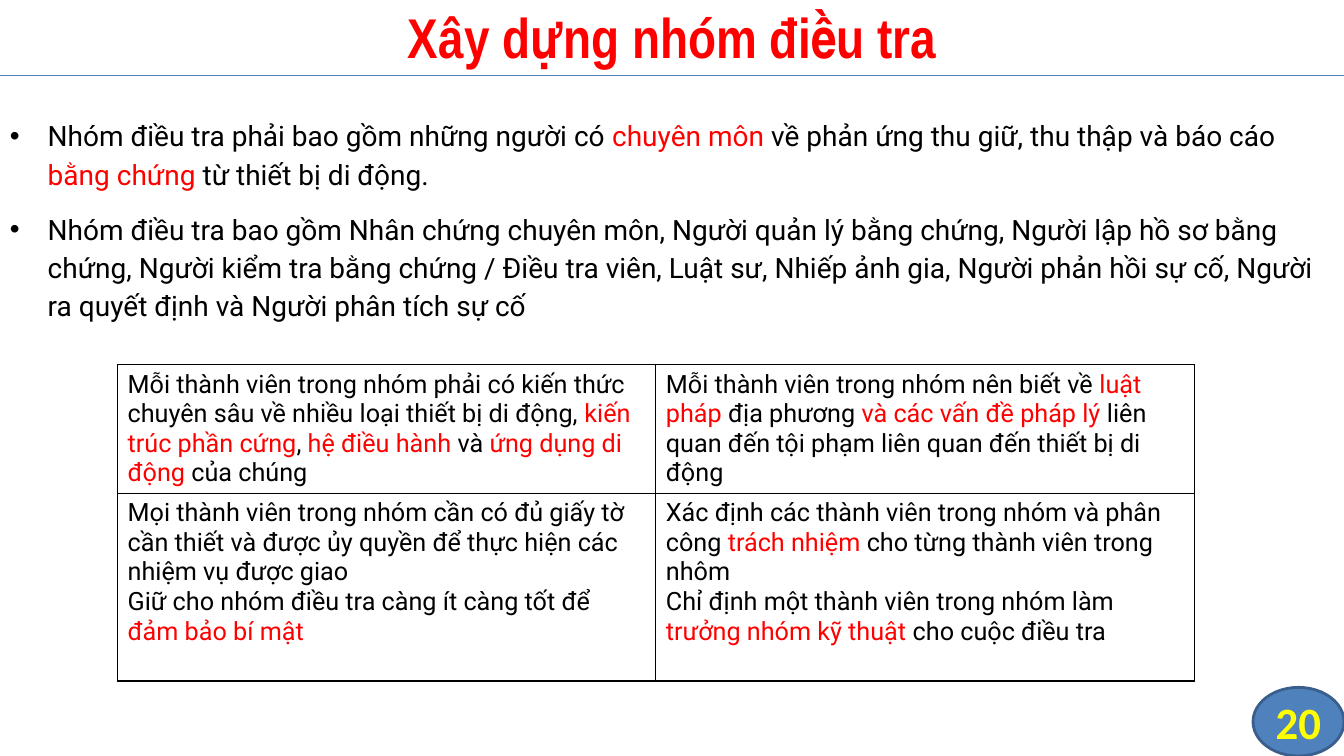
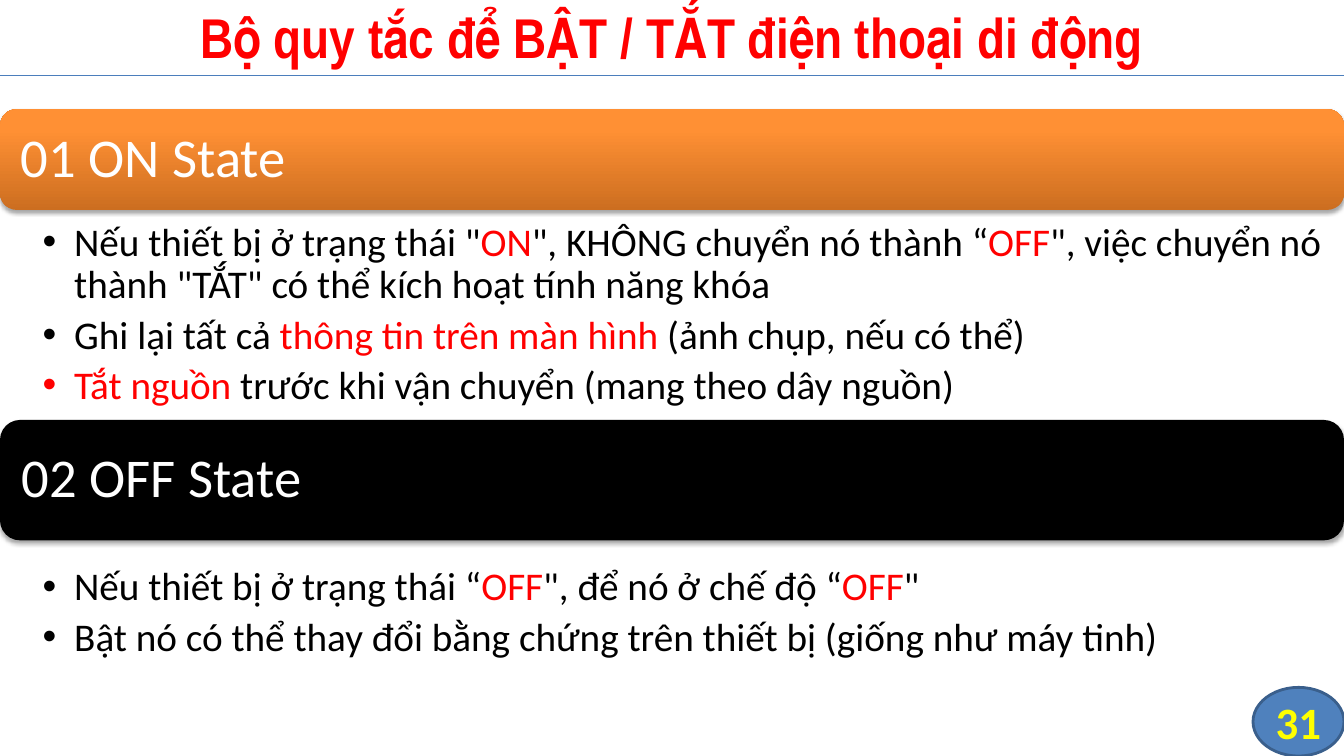
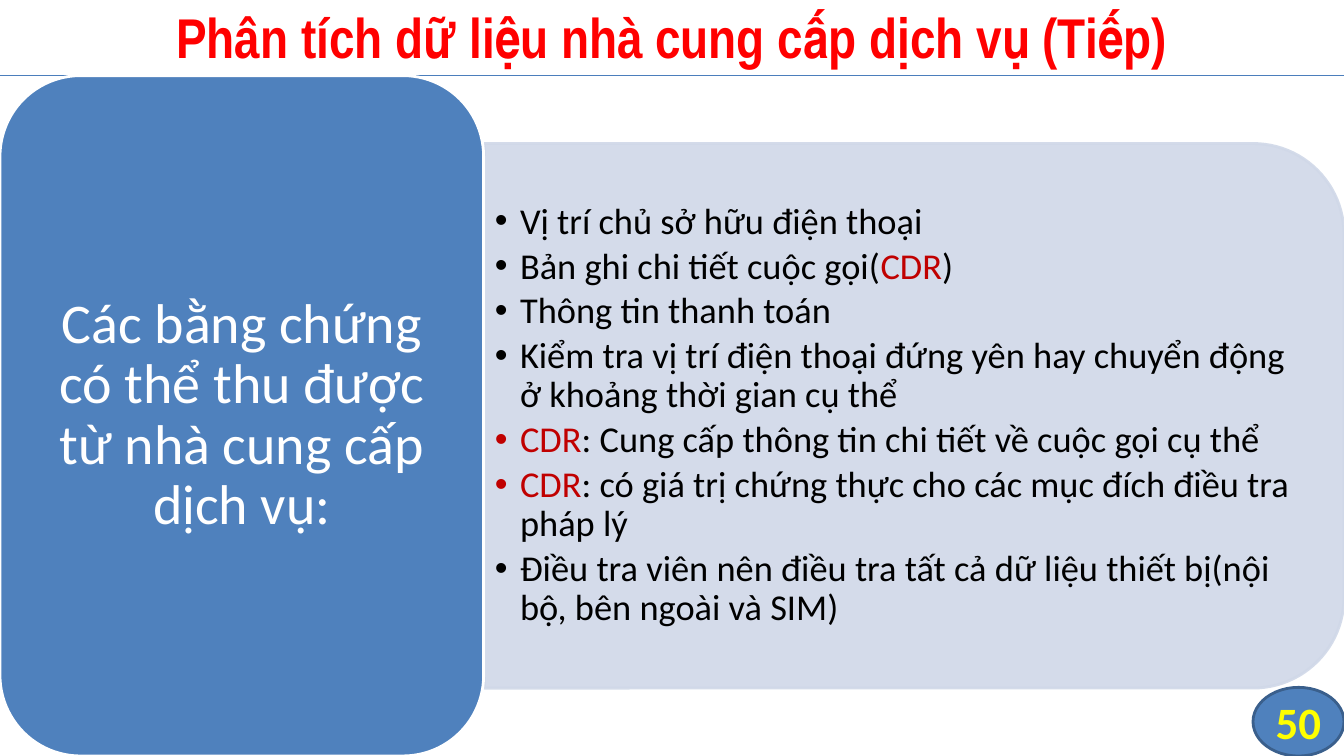
"""Build three slides on mobile device investigation."""
from dataclasses import dataclass

from lxml.etree import SubElement
from pptx import Presentation
from pptx.dml.color import RGBColor
from pptx.enum.shapes import MSO_CONNECTOR, MSO_SHAPE
from pptx.enum.text import MSO_ANCHOR, MSO_AUTO_SIZE, PP_ALIGN
from pptx.oxml.ns import qn
from pptx.util import Pt


@dataclass(frozen=True)
class Theme:
    black: RGBColor = RGBColor(0, 0, 0)
    white: RGBColor = RGBColor(255, 255, 255)
    red: RGBColor = RGBColor(255, 0, 0)
    dark_red: RGBColor = RGBColor(0xC0, 0, 0)
    yellow: RGBColor = RGBColor(255, 255, 0)
    blue: RGBColor = RGBColor(0x4F, 0x81, 0xBD)
    blue_edge: RGBColor = RGBColor(0x3A, 0x5F, 0x8C)
    rule: RGBColor = RGBColor(0x4B, 0x7E, 0xBC)
    pale_blue: RGBColor = RGBColor(0xD0, 0xD8, 0xE8)
    orange: RGBColor = RGBColor(0xFF, 0x90, 0x34)
    dark_orange: RGBColor = RGBColor(0xCC, 0x6E, 0x20)
    title_font: str = "Arial Narrow"
    text_font: str = "Roboto"
    diagram_font: str = "Calibri"
    title_size: int = 40
    state_size: int = 39
    number_size: int = 32
    rule_size: int = 28
    evidence_size: int = 26
    body_size: int = 20
    cell_size: int = 18


theme = Theme()


def write(frame, lines, font, size, color=theme.black, accent=theme.red, bold=False,
          align=PP_ALIGN.LEFT, anchor=MSO_ANCHOR.TOP, insets=(7.2, 3.6, 7.2, 3.6),
          spacing=1.0, after=0, hang=0):
    """Fill a frame; text between asterisks takes the accent colour."""
    frame.word_wrap = True
    frame.auto_size = MSO_AUTO_SIZE.NONE
    frame.vertical_anchor = anchor
    (frame.margin_left, frame.margin_top,
     frame.margin_right, frame.margin_bottom) = map(Pt, insets)
    for index, line in enumerate(lines):
        paragraph = frame.add_paragraph() if index else frame.paragraphs[0]
        if hang:
            properties = paragraph._p.get_or_add_pPr()
            properties.set("marL", str(Pt(hang)))
            properties.set("indent", str(-Pt(hang)))
            SubElement(properties, qn("a:buFont"), typeface="Arial")
            SubElement(properties, qn("a:buChar"), char="•")
        paragraph.alignment = align
        paragraph.line_spacing = spacing
        paragraph.space_before = Pt(0)
        paragraph.space_after = Pt(after)
        paragraph.font.name = font
        paragraph.font.size = Pt(size)
        paragraph.font.bold = bold
        paragraph.font.color.rgb = color
        for position, part in enumerate(line.split("*")):
            if part:
                run = paragraph.add_run()
                run.text = part
                if position % 2:
                    run.font.color.rgb = accent


def add_panel(slide, kind, left, top, width, height, fill, edge=None):
    """Add a flat filled shape with an optional 2 pt edge."""
    panel = slide.shapes.add_shape(kind, Pt(left), Pt(top), Pt(width), Pt(height))
    panel.shadow.inherit = False
    panel.fill.solid()
    panel.fill.fore_color.rgb = fill
    if edge is None:
        panel.line.fill.background()
    else:
        panel.line.color.rgb = edge
        panel.line.width = Pt(2)
    return panel


deck = Presentation()
deck.slide_width, deck.slide_height = Pt(960), Pt(540)

slides = []
for heading, number in (
    ("Xây dựng nhóm điều tra", "20"),
    ("Bộ quy tắc để BẬT / TẮT điện thoại di động", "31"),
    ("Phân tích dữ liệu nhà cung cấp dịch vụ (Tiếp)", "50"),
):
    slide = deck.slides.add_slide(deck.slide_layouts[5])
    title = slide.shapes.title
    title.left, title.top, title.width, title.height = Pt(0), Pt(-2), Pt(960), Pt(56)
    write(title.text_frame, [heading], theme.title_font, theme.title_size, theme.red,
          bold=True, align=PP_ALIGN.CENTER, anchor=MSO_ANCHOR.MIDDLE)
    divider = slide.shapes.add_connector(MSO_CONNECTOR.STRAIGHT, Pt(0), Pt(54), Pt(960), Pt(54))
    divider.line.color.rgb = theme.rule
    divider.line.width = Pt(0.75)
    SubElement(divider._element.spPr, qn("a:effectLst"))
    badge = add_panel(slide, MSO_SHAPE.FLOWCHART_CONNECTOR, 895, 491, 65, 49,
                      theme.blue, theme.blue_edge)
    write(badge.text_frame, [number], theme.diagram_font, theme.number_size, theme.yellow,
          bold=True, align=PP_ALIGN.CENTER, anchor=MSO_ANCHOR.MIDDLE, insets=(0, 0, 0, 0))
    slides.append(slide)
team_slide, power_slide, provider_slide = slides

team = team_slide.shapes.add_textbox(Pt(0), Pt(78), Pt(960), Pt(170))
write(team.text_frame, [
    "Nhóm điều tra phải bao gồm những người có *chuyên môn *về phản ứng thu giữ, thu thập "
    "và báo cáo *bằng chứng *từ thiết bị di động.",
    "Nhóm điều tra bao gồm Nhân chứng chuyên môn, Người quản lý bằng chứng, Người lập hồ sơ "
    "bằng chứng, Người kiểm tra bằng chứng / Điều tra viên, Luật sư, Nhiếp ảnh gia, Người "
    "phản hồi sự cố, Người ra quyết định và Người phân tích sự cố",
], theme.text_font, theme.body_size, spacing=1.14, after=12, hang=27)

requirements = [
    [
        ["Mỗi thành viên trong nhóm phải có kiến thức chuyên sâu về nhiều loại thiết bị di "
         "động, *kiến trúc phần cứng*, *hệ điều hành *và *ứng dụng di động *của chúng"],
        ["Mỗi thành viên trong nhóm nên biết về *luật pháp *địa phương *và các vấn đề pháp "
         "lý *liên quan đến tội phạm liên quan đến thiết bị di động"],
    ],
    [
        ["Mọi thành viên trong nhóm cần có đủ giấy tờ cần thiết và được ủy quyền để thực "
         "hiện các nhiệm vụ được giao",
         "Giữ cho nhóm điều tra càng ít càng tốt để *đảm bảo bí mật*"],
        ["Xác định các thành viên trong nhóm và phân công *trách nhiệm *cho từng thành viên "
         "trong nhôm",
         "Chỉ định một thành viên trong nhóm làm *trưởng nhóm kỹ thuật *cho cuộc điều tra"],
    ],
]
row_heights = (92, 134)
grid = team_slide.shapes.add_table(2, 2, Pt(84), Pt(260.5), Pt(769), Pt(sum(row_heights))).table
grid.first_row = grid.horz_banding = False
for row, height, row_texts in zip(grid.rows, row_heights, requirements):
    row.height = Pt(height)
    for cell, lines in zip(row.cells, row_texts):
        cell_properties = cell._tc.get_or_add_tcPr()
        for side in ("a:lnL", "a:lnR", "a:lnT", "a:lnB"):
            border = SubElement(cell_properties, qn(side), w=str(Pt(1)))
            SubElement(SubElement(border, qn("a:solidFill")), qn("a:srgbClr"),
                       val=str(theme.black))
        cell.fill.background()
        write(cell.text_frame, lines, theme.text_font, theme.cell_size)

for state, bar_top, bar_height, rules_top, rules_height, rules in (
    ("01 ON State", 78, 72, 156, 135, [
        "Nếu thiết bị ở trạng thái \"*ON*\", KHÔNG chuyển nó thành “*OFF*\", việc chuyển nó "
        "thành \"TẮT\" có thể kích hoạt tính năng khóa",
        "Ghi lại tất cả *thông tin trên màn hình *(ảnh chụp, nếu có thể)",
        "*Tắt nguồn *trước khi vận chuyển (mang theo dây nguồn)",
    ]),
    ("02 OFF State", 300, 86, 402, 84, [
        "Nếu thiết bị ở trạng thái “*OFF*\", để nó ở chế độ “*OFF*\"",
        "Bật nó có thể thay đổi bằng chứng trên thiết bị (giống như máy tinh)",
    ]),
):
    bar = add_panel(power_slide, MSO_SHAPE.ROUNDED_RECTANGLE, 0, bar_top, 960, bar_height,
                    theme.black)
    if state == "01 ON State":
        bar.fill.gradient()
        bar.fill.gradient_angle = 90
        dark_stop, light_stop = bar.fill.gradient_stops
        dark_stop.color.rgb, dark_stop.position = theme.dark_orange, 0
        light_stop.color.rgb, light_stop.position = theme.orange, 0.8
    effects = bar._element.spPr.find(qn("a:effectLst"))
    shadow = SubElement(effects, qn("a:outerShdw"), blurRad=str(Pt(3.1)), dist=str(Pt(1.8)),
                        dir="5400000", rotWithShape="0")
    shade = SubElement(shadow, qn("a:srgbClr"), val=str(theme.black))
    SubElement(shade, qn("a:alpha"), val="35000")
    write(bar.text_frame, [state], theme.diagram_font, theme.state_size, theme.white,
          anchor=MSO_ANCHOR.MIDDLE, insets=(11.5, 11.5, 11.5, 11.5), spacing=0.9, after=13.6)
    guidance = power_slide.shapes.add_textbox(Pt(0), Pt(rules_top), Pt(960), Pt(rules_height))
    write(guidance.text_frame, rules, theme.diagram_font, theme.rule_size,
          insets=(30.5, 3, 16, 3), spacing=0.9, after=5.6, hang=22.5)

backdrop = add_panel(provider_slide, MSO_SHAPE.ROUND_2_SAME_RECTANGLE, 458.5, -10, 389, 614,
                     theme.pale_blue, theme.pale_blue)
backdrop.rotation = 90
for tint in backdrop._element.spPr.iter(qn("a:srgbClr")):
    SubElement(tint, qn("a:alpha"), val="90000")

evidence = provider_slide.shapes.add_textbox(Pt(345.5), Pt(121.5), Pt(595.5), Pt(351))
write(evidence.text_frame, [
    "Vị trí chủ sở hữu điện thoại",
    "Bản ghi chi tiết cuộc gọi(*CDR*)",
    "Thông tin thanh toán",
    "Kiểm tra vị trí điện thoại đứng yên hay chuyển động ở khoảng thời gian cụ thể",
    "*CDR*: Cung cấp thông tin chi tiết về cuộc gọi cụ thể",
    "*CDR*: có giá trị chứng thực cho các mục đích điều tra pháp lý",
    "Điều tra viên nên điều tra tất cả dữ liệu thiết bị(nội bộ, bên ngoài và SIM)",
], theme.diagram_font, theme.evidence_size, accent=theme.dark_red, anchor=MSO_ANCHOR.MIDDLE,
      insets=(8, 3.6, 8, 3.6), spacing=0.9, after=3.9, hang=18)

source = add_panel(provider_slide, MSO_SHAPE.ROUNDED_RECTANGLE, 0, 54, 345.5, 486,
                   theme.blue, theme.white)
write(source.text_frame, ["Các bằng chứng có thể thu được từ nhà cung cấp dịch vụ:"],
      theme.diagram_font, theme.title_size, theme.white, align=PP_ALIGN.CENTER,
      anchor=MSO_ANCHOR.MIDDLE, insets=(12, 6, 12, 6), spacing=0.9, after=14)

deck.save("out.pptx")
